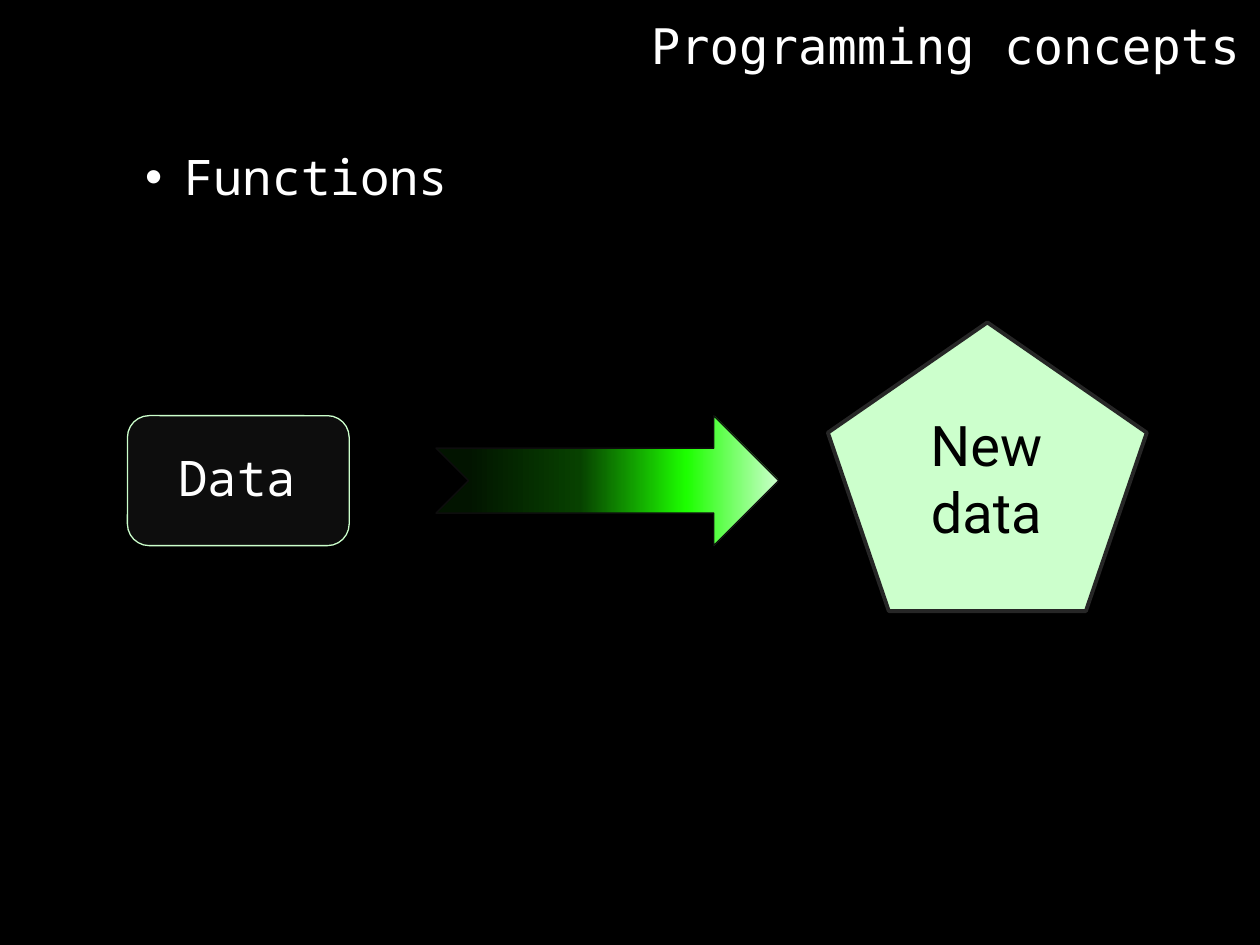
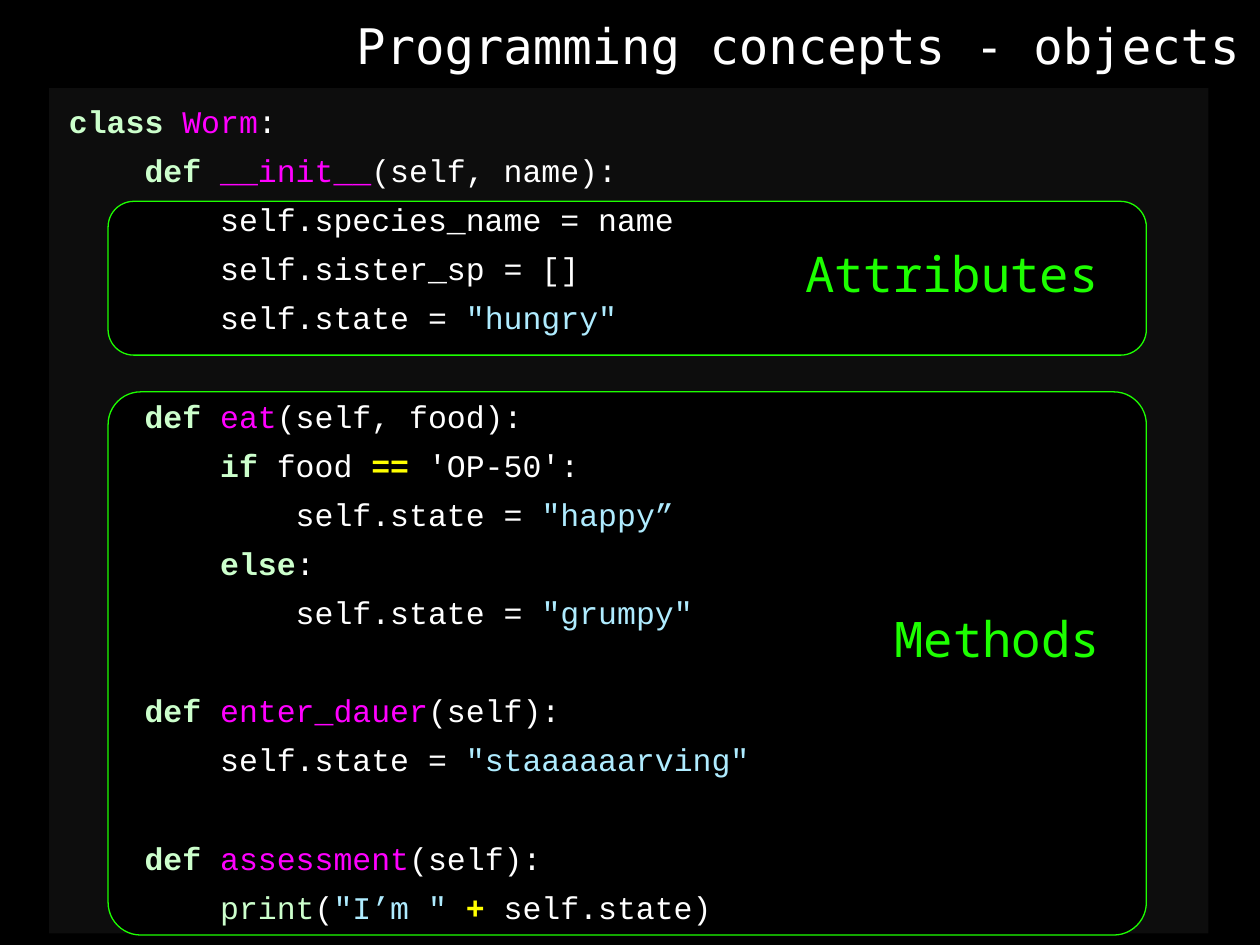
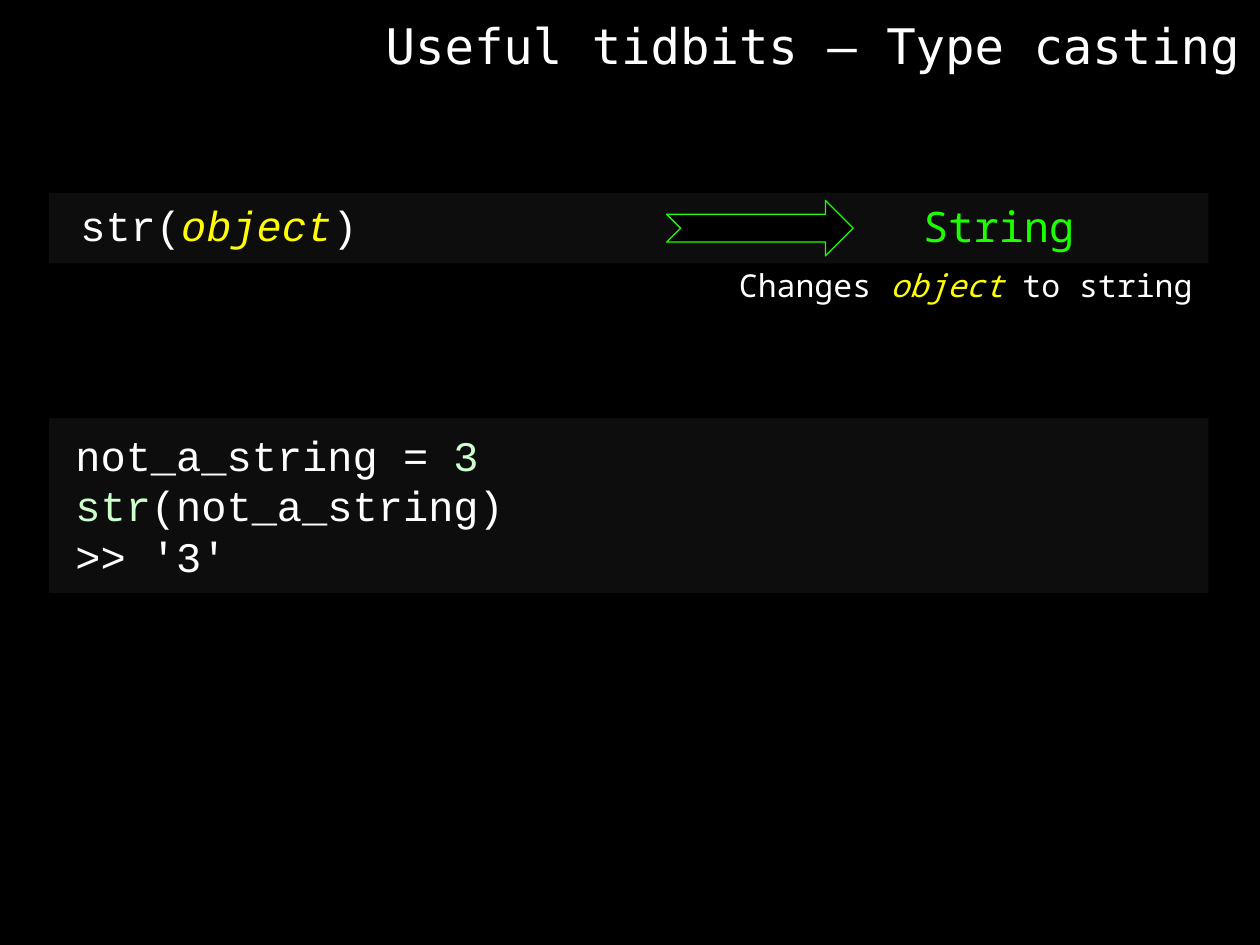
"""Build three dark slides on functions, objects and type casting."""
from dataclasses import dataclass
from functools import partial
from typing import Any, NamedTuple

from lxml import etree
from pptx import Presentation
from pptx import util as u
from pptx.dml.color import RGBColor
from pptx.enum import shapes, text
from pptx.oxml import ns


@dataclass(frozen=True)
class Theme:
    black: str = "000000"
    panel: str = "0D0D0D"
    outline: str = "262626"
    white: str = "FFFFFF"
    mint: str = "CCFFCC"
    green: str = "1DFF00"
    magenta: str = "FF00FF"
    sky: str = "AFECFF"
    yellow: str = "FFFF00"
    fade: tuple = ((9, "021400"), (42, "074100"), (73, "1DFF00"), (100, "CCFFCC"))
    title_font: str = "DejaVu Sans Mono"
    label_font: str = "Noto Sans Mono"
    code_font: str = "Courier New"
    result_font: str = "Roboto"
    small: int = 18
    medium: int = 24
    large: int = 28
    huge: int = 32
    thin: float = 0.75
    thick: float = 2.25


THEME = Theme()
TITLE_RIGHT = 25.25
KIND = shapes.MSO_SHAPE
ALIGN = text.PP_ALIGN


class Box(NamedTuple):
    left: float
    top: float
    width: float
    height: float

    def lengths(self) -> list[u.Length]:
        return [u.Cm(value) for value in self]


class Span(NamedTuple):
    text: str
    color: str = THEME.white
    bold: bool = False
    italic: bool = False


@dataclass(frozen=True)
class Figure:
    kind: Any
    box: Box
    fill: str
    line: str | None = None
    weight: float = THEME.thin
    corner: float | None = None


@dataclass(frozen=True)
class Label:
    box: Box
    lines: list[list[Span]]
    font: str = THEME.label_font
    size: int = THEME.large
    wrap: bool = False
    align: Any = ALIGN.LEFT
    spacing: float = 1.0
    gaps: tuple[int, ...] = ()
    gap: float = 0


keyword = partial(Span, color=THEME.mint, bold=True)
builtin = partial(Span, color=THEME.mint)
name = partial(Span, color=THEME.magenta)
string = partial(Span, color=THEME.sky)
operator = partial(Span, color=THEME.yellow, bold=True)
argument = partial(Span, color=THEME.yellow, italic=True)
tag = partial(Span, color=THEME.green)


def apply(target: Any, values: dict[str, Any]) -> None:
    for attribute, value in values.items():
        setattr(target, attribute, value)


def place(shape: Any, box: Box) -> None:
    apply(shape, dict(zip(("left", "top", "width", "height"), box.lengths())))


def write(shape: Any, label: Label) -> None:
    frame = shape.text_frame
    apply(frame, {"word_wrap": label.wrap,
                  "auto_size": text.MSO_AUTO_SIZE.NONE,
                  "vertical_anchor": text.MSO_ANCHOR.TOP})
    for index, spans in enumerate(label.lines):
        paragraph = frame.add_paragraph() if index else frame.paragraphs[0]
        apply(paragraph, {"alignment": label.align,
                          "line_spacing": label.spacing,
                          "space_before": u.Pt(label.gap if index in label.gaps else 0)})
        for span in spans:
            run = paragraph.add_run()
            run.text = span.text
            apply(run.font, {"name": label.font, "size": u.Pt(label.size),
                             "bold": span.bold, "italic": span.italic})
            run.font.color.rgb = RGBColor.from_string(span.color)


def add_label(slide: Any, label: Label) -> None:
    write(slide.shapes.add_textbox(*label.box.lengths()), label)


def add_figure(slide: Any, figure: Figure) -> Any:
    shape = slide.shapes.add_shape(figure.kind, *figure.box.lengths())
    shape.shadow.inherit = False
    shape.fill.solid()
    shape.fill.fore_color.rgb = RGBColor.from_string(figure.fill)
    if figure.line:
        shape.line.color.rgb = RGBColor.from_string(figure.line)
        shape.line.width = u.Pt(figure.weight)
    else:
        shape.line.fill.background()
    if figure.corner is not None:
        shape.adjustments[0] = figure.corner
    return shape


def add_fade(shape: Any) -> None:
    shape.fill.gradient()
    shape.fill.gradient_angle = 0
    stops = shape.element.spPr.find(".//" + ns.qn("a:gsLst"))
    for stop in list(stops):
        stops.remove(stop)
    for percent, color in THEME.fade:
        stop = etree.SubElement(stops, ns.qn("a:gs"), pos=str(percent * 1000))
        etree.SubElement(stop, ns.qn("a:srgbClr"), val=color)


def add_panel(slide: Any, top: float, height: float) -> None:
    add_figure(slide, Figure(KIND.RECTANGLE, Box(0.99, top, 23.37, height), THEME.panel))


def add_slide(deck: Any, layout: int, title: str, width: float) -> Any:
    slide = deck.slides.add_slide(deck.slide_layouts[layout])
    box = Box(TITLE_RIGHT - width, 0.18, width, 1.45)
    place(slide.shapes.title, box)
    write(slide.shapes.title,
          Label(box, [[Span(title)]], THEME.title_font, align=ALIGN.RIGHT))
    return slide


def add_bullet_list(slide: Any, label: Label) -> None:
    body = slide.placeholders[1]
    place(body, label.box)
    write(body, label)
    for paragraph in body.text_frame.paragraphs:
        properties = paragraph._p.get_or_add_pPr()
        properties.set("marL", str(u.Cm(0.79)))
        properties.set("indent", str(u.Cm(-0.79)))
        etree.SubElement(properties, ns.qn("a:buChar"), char="•")


def build_functions(deck: Any) -> None:
    slide = add_slide(deck, 1, "Programming concepts", 12.47)
    add_bullet_list(slide, Label(Box(2.67, 2.24, 6.63, 1.96),
                                 [[Span("Functions")]], spacing=1.5))
    add_figure(slide, Figure(KIND.ROUNDED_RECTANGLE, Box(2.57, 8.38, 4.47, 2.62),
                             THEME.panel, THEME.mint))
    add_label(slide, Label(Box(3.35, 8.89, 2.92, 1.45), [[Span("Data")]]))
    add_figure(slide, Figure(KIND.REGULAR_PENTAGON, Box(16.69, 6.5, 6.43, 5.82),
                             THEME.mint, THEME.outline, THEME.thick))
    add_label(slide, Label(Box(18.16, 8.15, 3.45, 3), [[Span("New data", THEME.black)]],
                           THEME.result_font, THEME.huge, True, ALIGN.CENTER))
    arrow = add_figure(slide, Figure(KIND.NOTCHED_RIGHT_ARROW, Box(8.79, 8.38, 6.91, 2.62),
                                     THEME.black, THEME.panel))
    add_fade(arrow)


def build_objects(deck: Any) -> None:
    slide = add_slide(deck, 5, "Programming concepts - objects", 18.47)
    add_panel(slide, 1.78, 17.04)
    for top, height, corner in ((7.9, 10.95, 0.06), (4.06, 3.1, None)):
        add_figure(slide, Figure(KIND.ROUNDED_RECTANGLE, Box(2.18, top, 20.93, height),
                                 THEME.black, THEME.green, corner=corner))
    for caption, left, top, width in (("Attributes", 15.98, 4.78, 6.53),
                                      ("Methods", 17.78, 12.14, 4.72)):
        add_label(slide, Label(Box(left, top, width, 1.45), [[tag(caption)]]))
    code = [
        [keyword("class "), name("Worm"), Span(":")],
        [Span("    "), keyword("def "), name("__init__"), Span("(self, name):")],
        [Span("        self.species_name = name")],
        [Span("        self.sister_sp = []")],
        [Span("        self.state = "), string('"hungry"')],
        [Span("    "), keyword("def "), name("eat"), Span("(self, food):")],
        [Span("        "), keyword("if "), Span("food "), operator("=="),
         Span(" 'OP-50':")],
        [Span("            self.state = "), string('"happy”')],
        [keyword("        else"), Span(":")],
        [Span("            self.state = "), string('"grumpy"')],
        [Span("    "), keyword("def "), name("enter_dauer"), Span("(self):")],
        [Span("        self.state = "), string('"staaaaaarving"')],
        [Span("    "), keyword("def "), name("assessment"), Span("(self):")],
        [Span("        "), builtin("print"), Span("("), string('"I’m " '),
         operator("+ "), Span("self.state)")],
    ]
    add_label(slide, Label(Box(1.14, 1.7, 22.61, 17.22), code, THEME.code_font,
                           THEME.small, True, spacing=1.3, gaps=(5, 10, 12), gap=28.1))


def build_casting(deck: Any) -> None:
    slide = add_slide(deck, 5, "Useful tidbits – Type casting", 17.88)
    add_label(slide, Label(Box(5.54, 5.23, 18.75, 1.02),
                           [[Span("Changes "), argument("object "), Span("to string")]],
                           size=THEME.small, wrap=True, align=ALIGN.RIGHT))
    add_panel(slide, 3.89, 1.42)
    add_label(slide, Label(Box(1.37, 3.89, 6.15, 1.27),
                           [[Span("str("), argument("object"), Span(")")]],
                           THEME.code_font, THEME.medium))
    add_label(slide, Label(Box(18.36, 3.91, 3.61, 1.27), [[tag("String")]],
                           size=THEME.medium))
    add_figure(slide, Figure(KIND.NOTCHED_RIGHT_ARROW, Box(13.44, 4.04, 3.76, 1.12),
                             THEME.black, THEME.green))
    add_panel(slide, 8.43, 3.53)
    code = [
        [Span("not_a_string = "), builtin("3")],
        [builtin("str"), Span("(not_a_string)")],
        [Span(">> '3'")],
    ]
    add_label(slide, Label(Box(1.27, 8.53, 9.25, 3.33), code,
                           THEME.code_font, THEME.medium))


def main() -> None:
    deck = Presentation()
    apply(deck, {"slide_width": u.Cm(25.4), "slide_height": u.Cm(19.05)})
    backdrop = deck.slide_master.background.fill
    backdrop.solid()
    backdrop.fore_color.rgb = RGBColor.from_string(THEME.black)
    for build in (build_functions, build_objects, build_casting):
        build(deck)
    deck.save("out.pptx")


if __name__ == "__main__":
    main()
